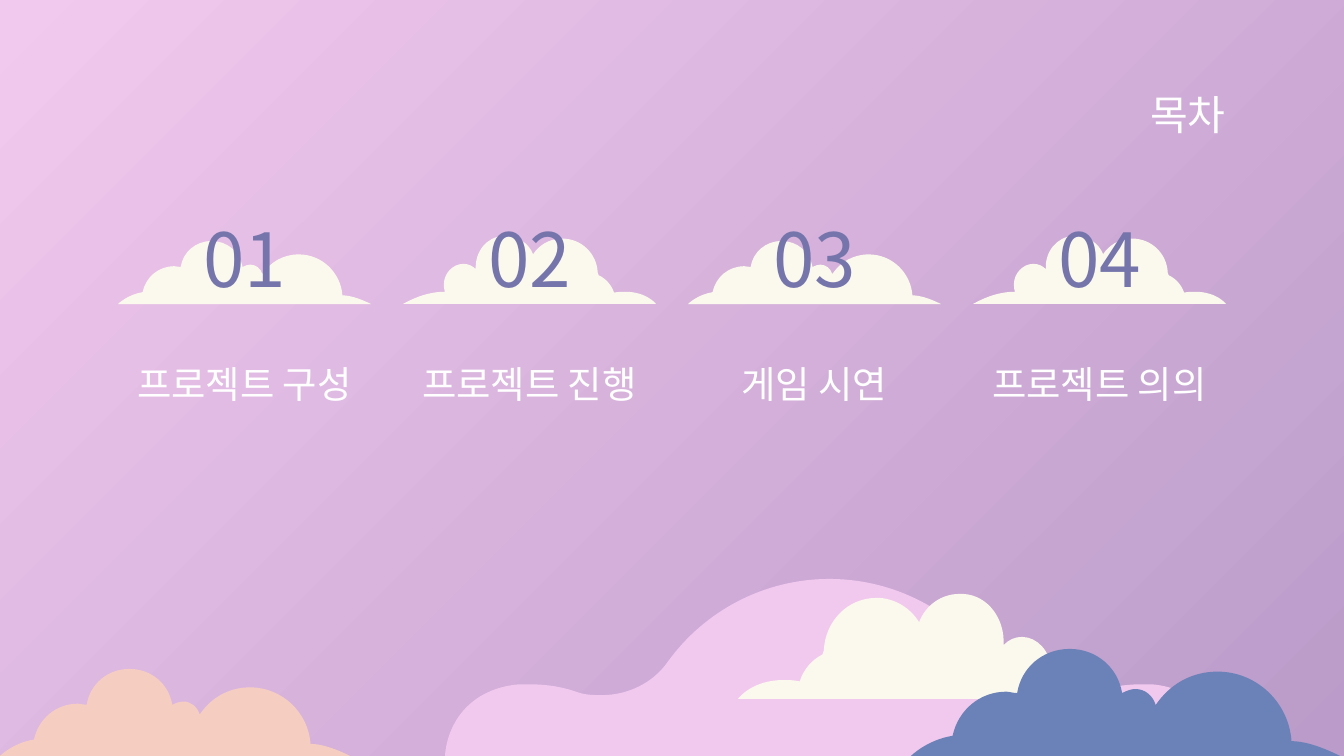
import pptx
import pptx.dml.color
import pptx.enum.text
import pptx.oxml.ns
import pptx.util
from lxml import etree

EMU_PER_PX = 914400 / 134.4
FONT = "Noto Sans CJK KR"
WHITE, CREAM, PINK, BLUE, PEACH, VIOLET = (
    "FFFFFF", "FBF9ED", "F2C9EE", "6B82B8", "F5CEC1", "7575AC")
TITLE = "목차"
TOPICS = ["프로젝트 구성", "프로젝트 진행", "게임 시연", "프로젝트 의의"]

# Outlines: a start point, then lines (x, y) and cubic curves (two handles, end).
WAVE = [
    (286, 0), (237, 0, 193, 24, 166, 61), (155, 77, 136, 86, 117, 86),
    (111, 86, 105, 86, 99, 84), (88, 80, 76, 78, 63, 78),
    (60, 78, 57, 78, 55, 78), (20, 81, 2, 105, 0, 131), (581, 131),
    (578, 105, 560, 81, 526, 78), (523, 78, 520, 78, 518, 78),
    (503, 78, 490, 81, 477, 85), (470, 87, 463, 89, 456, 89),
    (437, 89, 419, 80, 407, 63), (381, 25, 336, 0, 286, 0)]
LOW_CLOUD = [
    (118, 0), (98, 0, 82, 14, 79, 33), (76, 33, 73, 32, 71, 32),
    (51, 32, 35, 46, 31, 65), (12, 68, 0, 80, 0, 80), (319, 80),
    (303, 72, 291, 69, 283, 69), (281, 40, 257, 17, 228, 17),
    (208, 17, 192, 27, 182, 42), (180, 35, 174, 30, 167, 30),
    (164, 30, 161, 31, 157, 33), (154, 14, 138, 0, 118, 0)]
TALL_CLOUD = [
    (165, 0), (152, 0, 140, 8, 135, 21), (129, 11, 118, 4, 106, 3),
    (105, 3, 104, 3, 103, 3), (82, 3, 65, 20, 64, 42),
    (64, 43, 63, 44, 63, 45), (55, 49, 49, 56, 46, 65),
    (41, 64, 38, 64, 34, 64), (10, 64, 0, 78, 0, 78), (278, 78),
    (259, 67, 244, 64, 232, 64), (233, 61, 233, 58, 233, 55),
    (233, 43, 223, 32, 212, 32), (206, 32, 202, 34, 198, 38),
    (199, 18, 186, 1, 168, 0)]

# outline, left, top, width, height, colour
SCENERY = [
    (WAVE, 445, 579, 781, 177, PINK),
    (TALL_CLOUD, 738, 594, 373, 105, CREAM),
    (LOW_CLOUD, 911, 649, 429, 107, BLUE),
    (LOW_CLOUD, 0, 669, 350, 87, PEACH)]

COLUMN_LEFT, COLUMN_PITCH, CLOUD_W, CLOUD_BOTTOM = 118, 285, 253, 304
NUMBER_TOP, NUMBER_W, NUMBER_H = 210, 137, 95
LABEL_TOP, LABEL_W, LABEL_H = 352, 280, 63

qn = pptx.oxml.ns.qn


def px(n):
    return pptx.util.Emu(round(n * EMU_PER_PX))


def rgb(value):
    return pptx.dml.color.RGBColor.from_string(value)


def scale_outline(outline, width, height, mirrored):
    """Fit an outline to a size; each part becomes a list of EMU points."""
    full_w = max(part[-2] for part in outline)
    full_h = max(part[-1] for part in outline)
    return [[(px((full_w - x if mirrored else x) * width / full_w),
              px(y * height / full_h))
             for x, y in zip(part[::2], part[1::2])] for part in outline]


def add_cloud(s, outline, left, top, width, height, color, mirrored=False):
    parts = scale_outline(outline, width, height, mirrored)
    ends = [part[-1] for part in parts]
    builder = s.shapes.build_freeform(*ends[0])
    builder.add_line_segments(ends[1:], close=True)
    sp = builder.convert_to_shape(px(left), px(top))
    # Straight segments become cubic curves where the outline has handles.
    segments = list(sp._element.iter(qn("a:lnTo")))
    for segment, points in zip(segments, parts[1:]):
        if len(points) == 3:
            curve = etree.Element(qn("a:cubicBezTo"))
            for x, y in points:
                etree.SubElement(curve, qn("a:pt"), x=str(x), y=str(y))
            segment.getparent().replace(segment, curve)
    sp.fill.solid()
    sp.fill.fore_color.rgb = rgb(color)
    sp.line.fill.background()
    sp.shadow.inherit = False


def set_text(sp, text, box, size, color, align):
    sp.left, sp.top, sp.width, sp.height = map(px, box)
    tf = sp.text_frame
    tf.text = text
    tf.word_wrap = True
    tf.auto_size = pptx.enum.text.MSO_AUTO_SIZE.NONE
    tf.vertical_anchor = pptx.enum.text.MSO_ANCHOR.MIDDLE
    tf.margin_left = tf.margin_right = pptx.util.Inches(0.1)
    tf.margin_top = tf.margin_bottom = pptx.util.Inches(0.1)
    p = tf.paragraphs[0]
    p.alignment = align
    p.space_before = pptx.util.Pt(0)
    p.font.name = FONT
    p.font.size = pptx.util.Pt(size)
    p.font.bold = False
    p.font.color.rgb = rgb(color)
    props = p._p.get_or_add_pPr()
    props.set("marL", "0")
    props.set("indent", "0")
    defaults = props.find(qn("a:defRPr"))
    defaults.addprevious(etree.Element(qn("a:buNone")))
    east_asian = etree.Element(qn("a:ea"), typeface=FONT)
    defaults.find(qn("a:latin")).addnext(east_asian)


def main():
    prs = pptx.Presentation()
    prs.slide_width, prs.slide_height = px(1344), px(756)
    s = prs.slides.add_slide(prs.slide_layouts.get_by_name("Comparison"))
    fill = s.background.fill
    fill.gradient()
    fill.gradient_angle = 315
    for stop, color in zip(fill.gradient_stops, (PINK, "BA9BC9")):
        stop.color.rgb = rgb(color)

    for cloud in SCENERY:
        add_cloud(s, *cloud)

    align = pptx.enum.text.PP_ALIGN
    set_text(s.shapes.title, TITLE, (105, 79, 1134, 71), 22, WHITE, align.RIGHT)
    labels = [sp for sp in s.placeholders if sp.placeholder_format.idx > 0]
    for i, (label, topic) in enumerate(zip(labels, TOPICS)):
        left = COLUMN_LEFT + i * COLUMN_PITCH
        center = left + CLOUD_W / 2
        tall = i % 2 == 1
        outline, height = (TALL_CLOUD, 68) if tall else (LOW_CLOUD, 63)
        add_cloud(s, outline, left, CLOUD_BOTTOM - height, CLOUD_W, height,
                  CREAM, mirrored=tall)
        box = (center - NUMBER_W / 2, NUMBER_TOP, NUMBER_W, NUMBER_H)
        number = s.shapes.add_textbox(*map(px, box))
        set_text(number, f"{i + 1:02}", box, 40, VIOLET, align.CENTER)
        box = (center - LABEL_W / 2, LABEL_TOP, LABEL_W, LABEL_H)
        set_text(label, topic, box, 20, WHITE, align.CENTER)

    prs.save("out.pptx")


if __name__ == "__main__":
    main()
